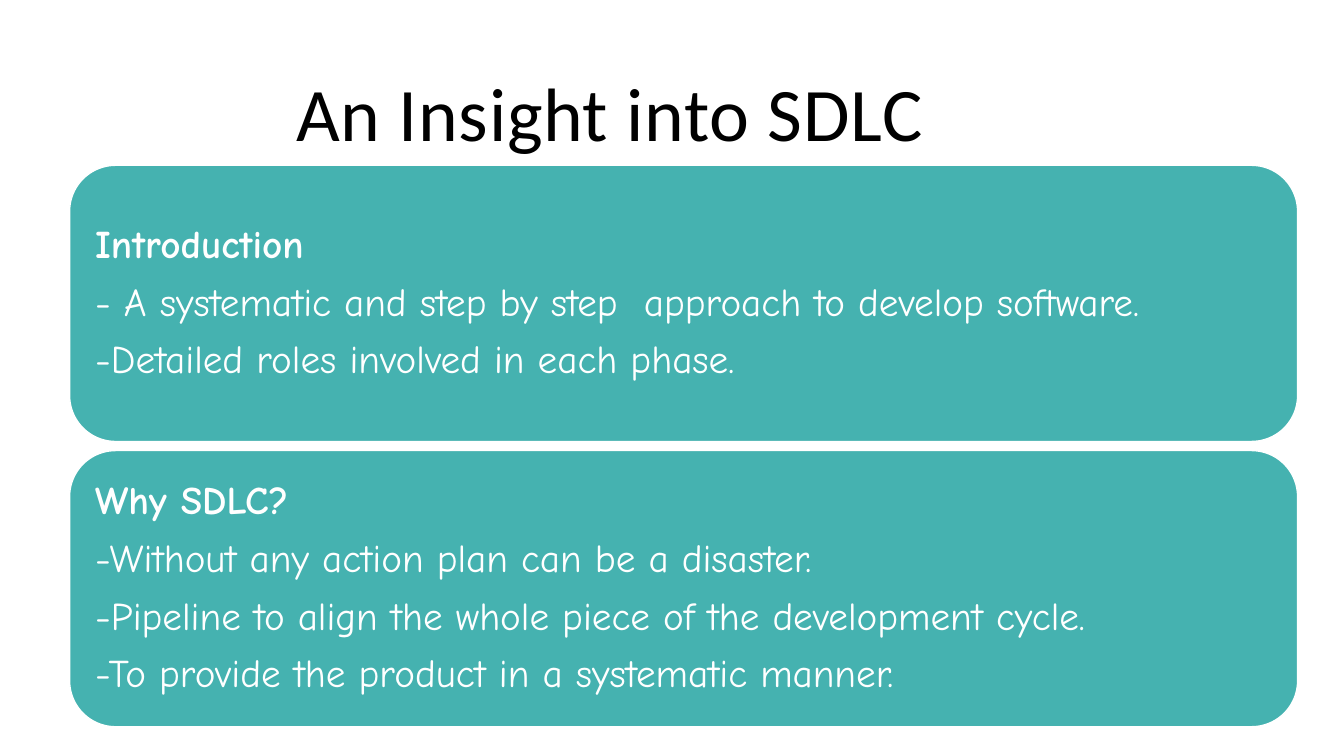
from pptx import Presentation
from pptx.dml.color import RGBColor
from pptx.enum.shapes import MSO_SHAPE
from pptx.enum.text import MSO_ANCHOR, PP_ALIGN
from pptx.util import Emu, Pt

SCALE = 9144  # EMU per px, 100 px to the inch
COLORS = {"paper": "FFFFFF", "title": "000000", "card": "45B2B0", "card_text": "FFFFFF"}
TITLE_FONT = {"name": "Calibri", "size": Pt(54), "bold": False}
CARD_FONT = {"name": "Comic Neue", "size": Pt(28)}
TITLE = "An Insight into SDLC"
CARDS = [
    ("Introduction",
     "- A systematic and step by step  approach to develop software.",
     "-Detailed roles involved in each phase."),
    ("Why SDLC?",
     "-Without any action plan can be a disaster.",
     "-Pipeline to align the whole piece of the development cycle.",
     "-To provide the product in a systematic manner."),
]


def px(length):
    return Emu(length * SCALE)


def color(name):
    return RGBColor.from_string(COLORS[name])


def set_values(target, values):
    for name, value in values.items():
        setattr(target, name, value)


def write(para, text, font, color_name, layout):
    set_values(para, {"line_spacing": 0.9, **layout})
    span = para.add_run()
    span.text = text
    set_values(span.font, font)
    span.font.color.rgb = color(color_name)
    return span


# Heading above the cards
def add_title(page, box):
    frame = page.shapes.add_textbox(*map(px, box)).text_frame
    set_values(frame, {"word_wrap": True, "vertical_anchor": MSO_ANCHOR.MIDDLE})
    span = write(frame.paragraphs[0], TITLE, TITLE_FONT, "title",
                 {"alignment": PP_ALIGN.CENTER})
    span.font._element.set("spc", "50")


# Rounded card: bold heading, then its points
def add_card(page, box, lines):
    card = page.shapes.add_shape(MSO_SHAPE.ROUNDED_RECTANGLE, *map(px, box))
    card.shadow.inherit = False
    card.fill.solid()
    card.fill.fore_color.rgb = color("card")
    card.line.color.rgb = color("paper")
    card.line.width = Pt(1)
    frame = card.text_frame
    margins = {f"margin_{side}": px(12) for side in ("left", "top", "right", "bottom")}
    set_values(frame, {"word_wrap": True, "vertical_anchor": MSO_ANCHOR.MIDDLE, **margins})
    for index, text in enumerate(lines):
        para = frame.add_paragraph() if index else frame.paragraphs[0]
        write(para, text, {**CARD_FONT, "bold": index == 0}, "card_text",
              {"alignment": PP_ALIGN.LEFT, "space_after": Pt(11)})


# Cards stacked with equal gaps
def add_cards(page, box, gap):
    left, top, width, height = box
    card_height = (height - gap * (len(CARDS) - 1)) // len(CARDS)
    for index, lines in enumerate(CARDS):
        card_top = top + index * (card_height + gap)
        add_card(page, (left, card_top, width, card_height), lines)


def main():
    deck = Presentation()
    deck.slide_width, deck.slide_height = px(1333), px(750)
    page = deck.slides.add_slide(deck.slide_layouts[6])
    page.background.fill.solid()
    page.background.fill.fore_color.rgb = color("paper")
    add_title(page, (69, 69, 1072, 95))
    add_cards(page, (69, 164, 1218, 557), gap=9)
    deck.save("out.pptx")


if __name__ == "__main__":
    main()
